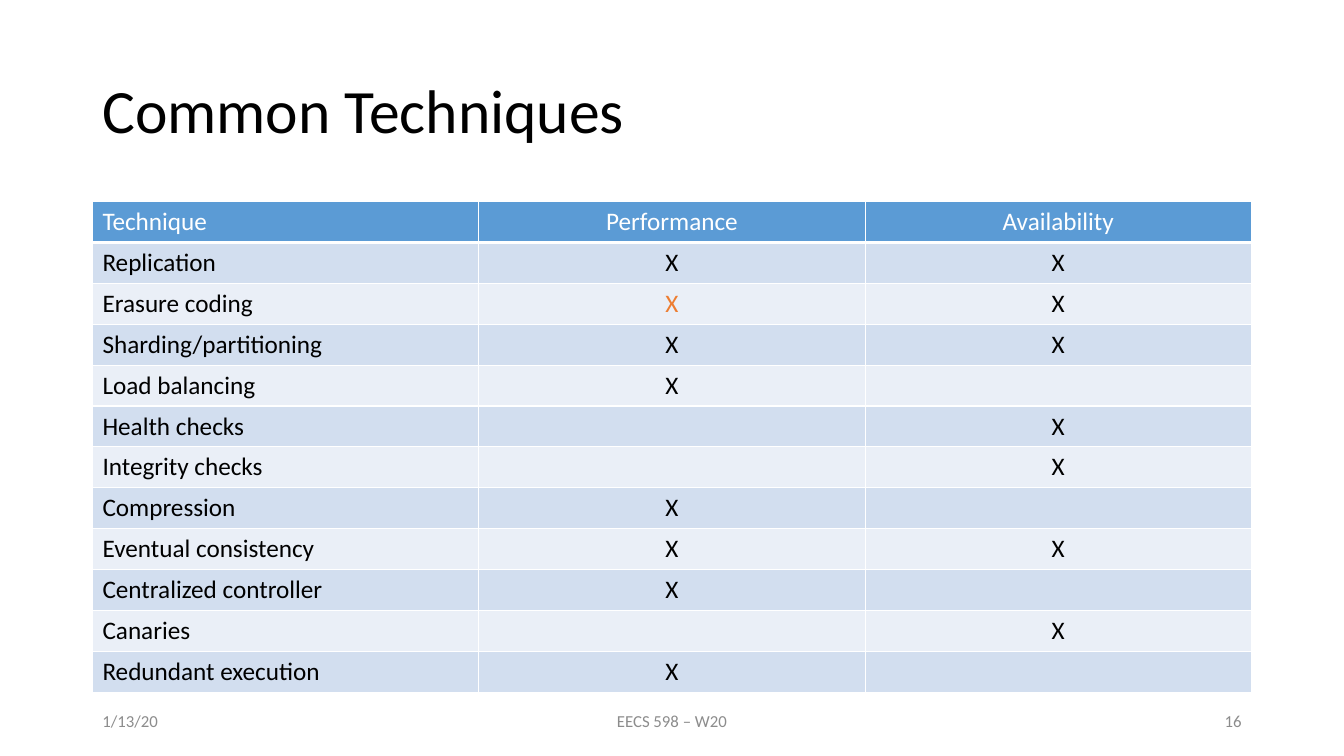
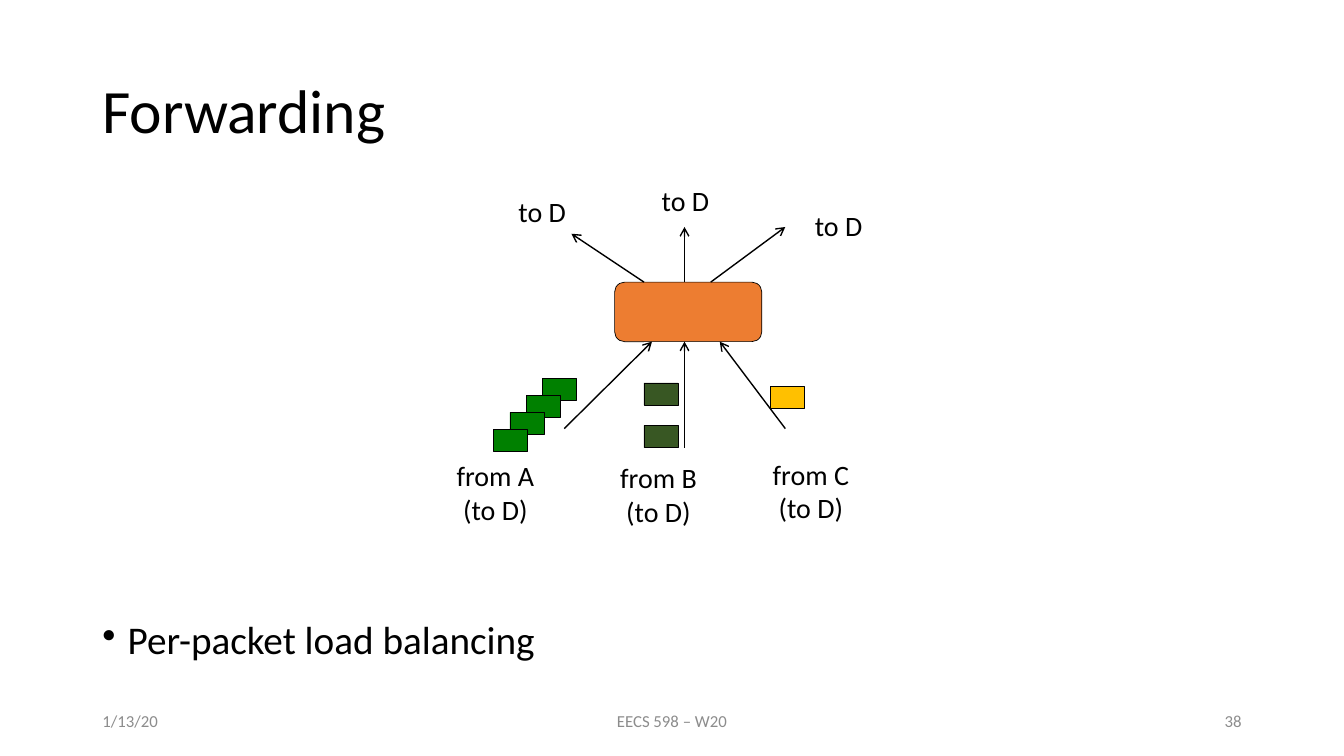
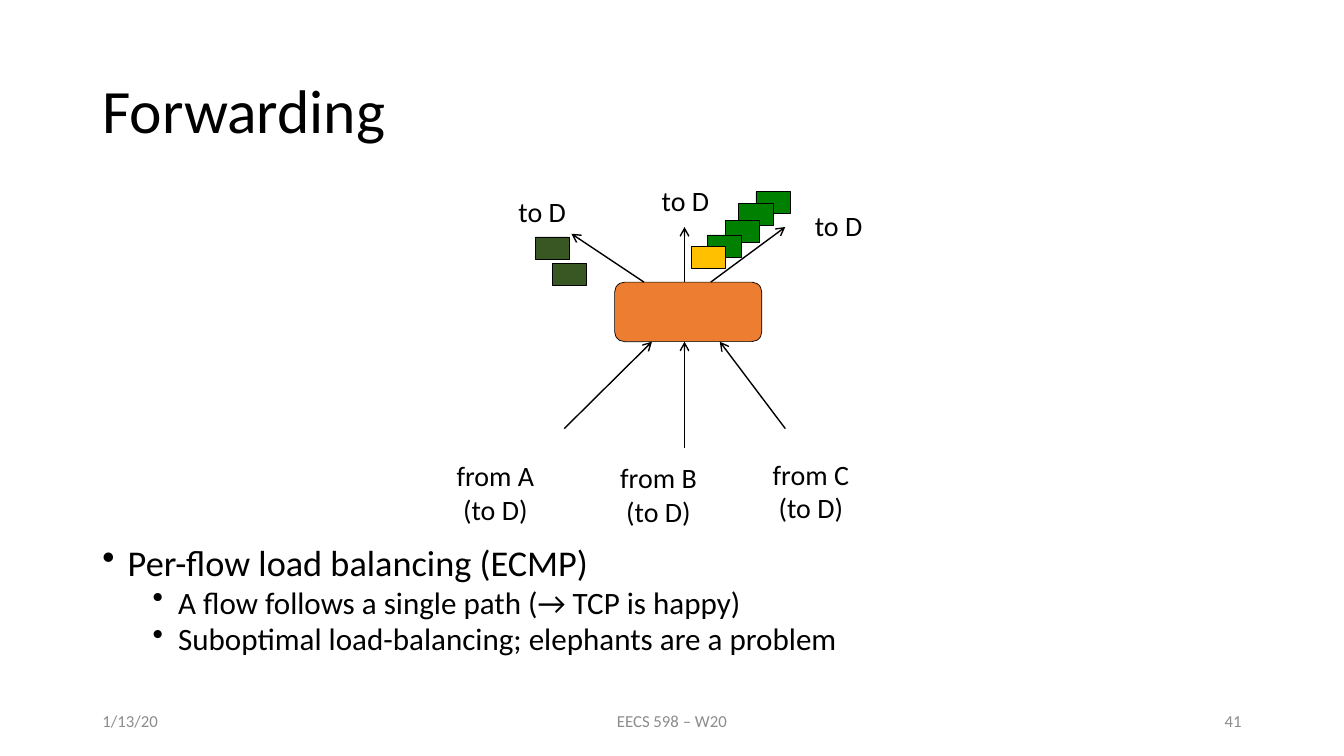
"""Build three lecture slides on common techniques and packet forwarding."""
import pptx
import pptx.dml.color
import pptx.enum.shapes
import pptx.enum.text
import pptx.oxml
import pptx.oxml.ns
import pptx.util
from lxml import etree

Cm = pptx.util.Cm
Pt = pptx.util.Pt
ALIGN = pptx.enum.text.PP_ALIGN
ANCHOR = pptx.enum.text.MSO_ANCHOR
SHAPE = pptx.enum.shapes.MSO_SHAPE
qn = pptx.oxml.ns.qn

COLORS = {
    "text": "000000",
    "footer": "8C8C8C",
    "white": "FFFFFF",
    "header": "5B9BD5",
    "band_dark": "D2DEEF",
    "band_light": "EAEFF7",
    "accent": "ED7D31",
    "flow_a": "008000",
    "flow_b": "385723",
    "flow_c": "FFC000",
}


def rgb(name):
    return pptx.dml.color.RGBColor.from_string(COLORS[name])


class Deck:
    font = "Calibri"
    left, width = 2.33, 29.21
    date, course = "1/13/20", "EECS 598 – W20"

    def __init__(self):
        self.prs = pptx.Presentation()
        self.prs.slide_width, self.prs.slide_height = Cm(33.87), Cm(19.05)
        self.s = None

    def slide(self, title, number):
        self.s = self.prs.slides.add_slide(self.prs.slide_layouts[6])
        p = self.text(title, self.left, 1.01, self.width, 3.68, 44, anchor=ANCHOR.MIDDLE)
        p.line_spacing = 0.9
        footers = (
            (self.date, self.left, 7.62, ALIGN.LEFT),
            (self.course, 11.22, 11.43, ALIGN.CENTER),
            (number, 23.92, 7.62, ALIGN.RIGHT),
        )
        for text, x, w, align in footers:
            self.text(text, x, 17.66, w, 1.01, 12, "footer", align, ANCHOR.MIDDLE)

    def run(self, p, text, size, color="text"):
        r = p.add_run()
        r.text = text
        r.font.name, r.font.size, r.font.bold = self.font, Pt(size), False
        r.font.color.rgb = rgb(color)

    def frame(self, x, y, w, h, anchor, wrap=True):
        tf = self.s.shapes.add_textbox(Cm(x), Cm(y), Cm(w), Cm(h)).text_frame
        tf.word_wrap, tf.vertical_anchor = wrap, anchor
        return tf

    def text(self, text, x, y, w, h, size, color="text", align=ALIGN.LEFT,
             anchor=ANCHOR.TOP, wrap=True):
        p = self.frame(x, y, w, h, anchor, wrap).paragraphs[0]
        p.alignment = align
        for i, line in enumerate(text.split("\n")):
            if i:
                p.add_line_break()
            self.run(p, line, size, color)
        return p

    def label(self, text, x, y, w, h):
        self.text(text, x, y, w, h, 20, align=ALIGN.CENTER, wrap=False)

    def bullets(self, items, bottom, sizes, spacing):
        height = 3.1
        tf = self.frame(self.left, bottom - height, self.width, height, ANCHOR.BOTTOM)
        for i, (level, text) in enumerate(items):
            p = tf.add_paragraph() if i else tf.paragraphs[0]
            p.level, p.line_spacing = level, spacing
            p.space_before = Pt(5 if i else 0)
            pPr = p._p.get_or_add_pPr()
            pPr.set("marL", str(Cm(0.64 + 1.27 * level)))
            pPr.set("indent", str(-Cm(0.64)))
            etree.SubElement(pPr, qn("a:buChar")).set("char", "•")
            self.run(p, text, sizes[level])

    def box(self, x, y, w, h, fill, kind=SHAPE.RECTANGLE):
        sp = self.s.shapes.add_shape(kind, Cm(x), Cm(y), Cm(w), Cm(h))
        sp.shadow.inherit = False
        sp.fill.solid()
        sp.fill.fore_color.rgb = rgb(fill)
        sp.line.color.rgb = rgb("text")
        sp.line.width = Pt(0.5)

    def packets(self, flow, places):
        for x, y in places:
            self.box(x, y, 0.86, 0.56, flow)

    def arrow(self, x1, y1, x2, y2):
        sp = self.s.shapes.add_connector(
            pptx.enum.shapes.MSO_CONNECTOR.STRAIGHT, Cm(x1), Cm(y1), Cm(x2), Cm(y2))
        sp.line.color.rgb = rgb("text")
        sp.line.width = Pt(1)
        etree.SubElement(sp.line._get_or_add_ln(), qn("a:tailEnd")).set("type", "arrow")
        etree.SubElement(sp._element.spPr, qn("a:effectLst"))

    def border(self, cell, widths):
        tcPr = cell._tc.get_or_add_tcPr()
        for i, (side, width) in enumerate(widths.items()):
            ln = etree.Element(qn("a:ln" + side), w=str(Pt(width)))
            fill = etree.SubElement(ln, qn("a:solidFill"))
            etree.SubElement(fill, qn("a:srgbClr")).set("val", COLORS["white"])
            tcPr.insert(i, ln)

    def table(self, rows, accents, y, row_height):
        cols = len(rows[0])
        tbl = self.s.shapes.add_table(
            len(rows), cols, Cm(self.left), Cm(y),
            Cm(self.width), Cm(row_height * len(rows))).table
        tbl.first_row = tbl.horz_banding = False
        for i, row in enumerate(rows):
            tbl.rows[i].height = Cm(row_height)
            band = "header" if i == 0 else "band_dark" if i % 2 else "band_light"
            for j, text in enumerate(row):
                cell = tbl.cell(i, j)
                cell.fill.solid()
                cell.fill.fore_color.rgb = rgb(band)
                self.border(cell, {"L": 1, "R": 1, "T": 3 if i == 1 else 1,
                                   "B": 3 if i == 0 else 1})
                p = cell.text_frame.paragraphs[0]
                p.alignment = ALIGN.CENTER if j else ALIGN.LEFT
                color = "white" if i == 0 else "accent" if (i, j) in accents else "text"
                if text:
                    self.run(p, text, 18, color)

    def router(self):
        top, bottom = 7.11, 8.61
        self.box(15.49, top, 3.71, bottom - top, "accent", SHAPE.ROUNDED_RECTANGLE)
        for x1, x2, y2 in ((16.23, 14.4, 5.89), (17.25, 17.25, 5.72), (17.91, 19.79, 5.72)):
            self.arrow(x1, top, x2, y2)
        for x1, y1, x2 in ((14.22, 10.8, 16.43), (17.25, 11.28, 17.25), (19.79, 10.8, 18.14)):
            self.arrow(x1, y1, x2, bottom)
        for x, y in ((16.41, 4.5), (12.8, 4.78), (20.27, 5.13)):
            self.label("to D", x, y, 1.73, 1.12)
        for host, x, y in (("A", 11.23, 11.43), ("B", 15.34, 11.48), ("C", 19.18, 11.4)):
            self.label(f"from {host}\n(to D)", x, y, 2.51, 1.96)


def main():
    deck = Deck()

    deck.slide("Common Techniques", "16")
    deck.table([
        ("Technique", "Performance", "Availability"),
        ("Replication", "X", "X"),
        ("Erasure coding", "X", "X"),
        ("Sharding/partitioning", "X", "X"),
        ("Load balancing", "X", ""),
        ("Health checks", "", "X"),
        ("Integrity checks", "", "X"),
        ("Compression", "X", ""),
        ("Eventual consistency", "X", "X"),
        ("Centralized controller", "X", ""),
        ("Canaries", "", "X"),
        ("Redundant execution", "X", ""),
    ], accents={(2, 1)}, y=5.08, row_height=1.03)

    deck.slide("Forwarding", "38")
    deck.bullets([(0, "Per-packet load balancing")], 16.84, (28,), 0.9)
    deck.router()
    deck.packets("flow_a", [(13.67 - 0.41 * i, 9.53 + 0.43 * i) for i in range(4)])
    deck.packets("flow_b", [(16.23, 9.65), (16.23, 10.72)])
    deck.packets("flow_c", [(19.41, 9.73)])

    deck.slide("Forwarding", "41")
    deck.bullets([
        (0, "Per-flow load balancing (ECMP)"),
        (1, "A flow follows a single path (→ TCP is happy)"),
        (1, "Suboptimal load-balancing; elephants are a problem"),
    ], 16.68, (25.9, 22.2), 0.8)
    deck.router()
    deck.packets("flow_a", [(19.05, 4.83), (18.62, 5.13), (18.29, 5.56), (17.83, 5.92)])
    deck.packets("flow_b", [(13.49, 5.97), (13.92, 6.63)])
    deck.packets("flow_c", [(17.42, 6.2)])

    deck.prs.save("out.pptx")


if __name__ == "__main__":
    main()
